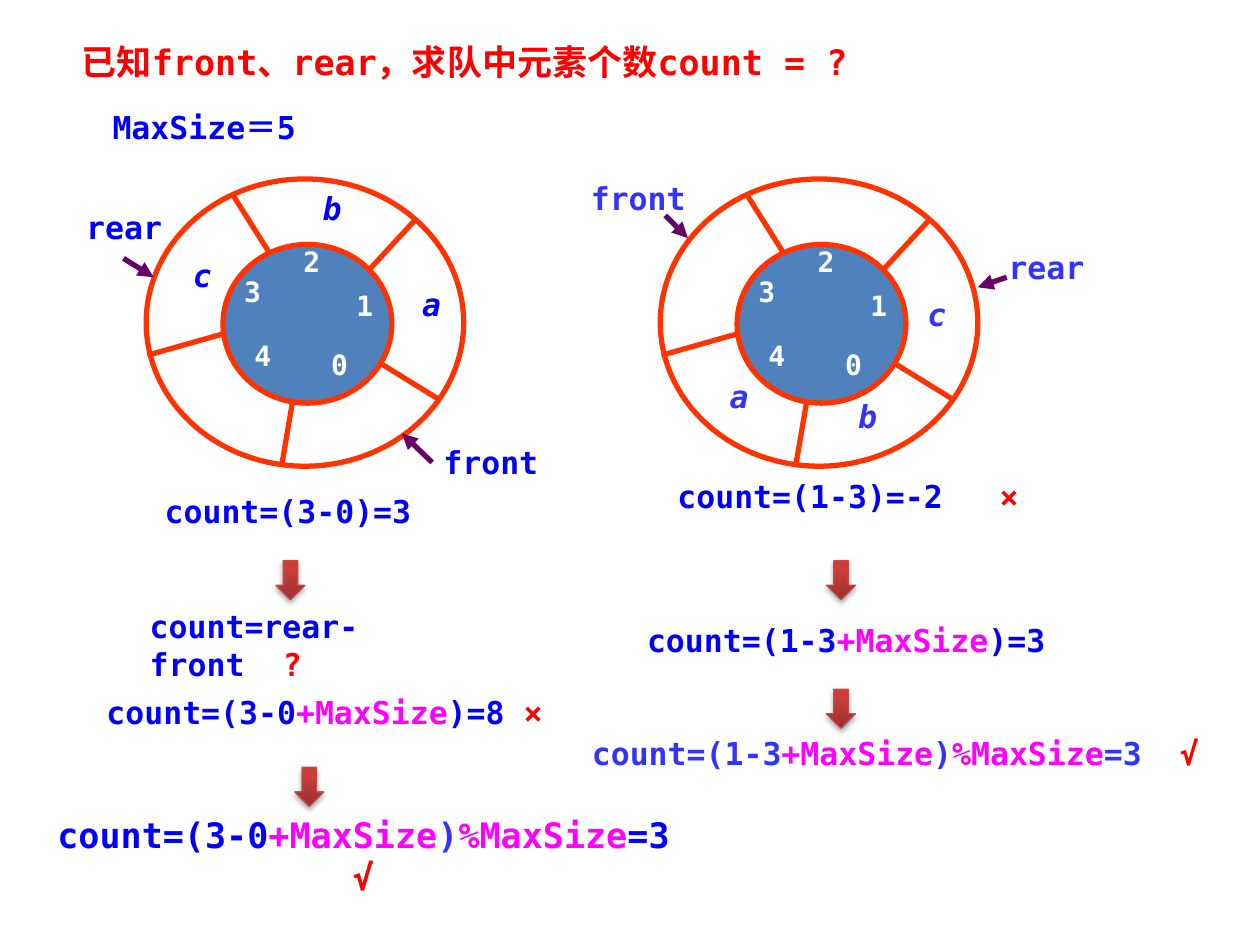
from typing import NamedTuple

from lxml.etree import SubElement
from pptx import Presentation
from pptx.dml.color import RGBColor
from pptx.enum.shapes import MSO_CONNECTOR, MSO_SHAPE
from pptx.enum.text import MSO_AUTO_SIZE, PP_ALIGN
from pptx.oxml.ns import qn
from pptx.util import Inches, Pt

COLORS = {
    "blue": "0000FF", "violet": "3333FF", "magenta": "FF00FF", "red": "FF0000",
    "white": "FFFFFF", "ring": "FF3300", "core": "4F81BD", "pointer": "660066",
    "arrow_dark": "9C2F2D", "arrow_light": "CB3E3A", "arrow_line": "BF4C48",
    "shadow": "000000",
}
FONT = "DejaVu Sans Mono"
COLUMNS, ROWS = 100, 75
CELL = Inches(10) / COLUMNS
RING_GAP = 40.8


class Piece(NamedTuple):
    text: str
    color: str = "blue"


class Formula(NamedTuple):
    """A box placed by left column, top row, width and height."""
    left: float
    top: float
    width: float
    height: float
    pieces: tuple
    size: int = 18
    align: PP_ALIGN = PP_ALIGN.CENTER


class Label(NamedTuple):
    text: str
    left: float
    top: float


class Segment(NamedTuple):
    x1: float
    y1: float
    x2: float
    y2: float


class Queue(NamedTuple):
    """A ring buffer with its contents and its two named pointers."""
    shift: float
    color: str
    elements: tuple
    names: tuple
    pointers: tuple


DIVIDERS = (
    Segment(30.3, 28.9, 35, 31.8), Segment(29.4, 21.3, 33, 17.4),
    Segment(18.5, 15.5, 21.4, 20.1), Segment(23.2, 32, 22.4, 36.7),
    Segment(11.7, 28.2, 17.7, 26.5),
)
INDICES = (
    Label("0", 25.4, 27.6), Label("1", 27.4, 22.9), Label("2", 23.2, 19.4),
    Label("3", 18.5, 21.8), Label("4", 19.3, 26.9),
)
QUEUES = (
    Queue(0, "blue",
          (Label("a", 32.7, 22.6), Label("b", 24.8, 15), Label("c", 14.5, 20.3)),
          (Label("front", 35, 35.2), Label("rear", 5.9, 16.5)),
          (Segment(34.3, 36.7, 31.9, 34.4), Segment(9.8, 20.5, 12.2, 22))),
    Queue(RING_GAP, "violet",
          (Label("a", 57.1, 29.9), Label("b", 67.3, 31.5), Label("c", 72.8, 23.4)),
          (Label("front", 46.7, 14.2), Label("rear", 79.1, 19.7)),
          (Segment(52.8, 17.1, 54.6, 18.9), Segment(79.9, 22, 77.6, 22.8))),
)
PLUS_SIZE = Piece("+MaxSize", "magenta")
MOD_SIZE = Piece("%MaxSize", "magenta")
FORMULAS = (
    Formula(5.5, 2.7, 69.5, 4.4,
            (Piece("已知front、rear，求队中元素个数count = ?", "red"),), 20, PP_ALIGN.LEFT),
    Formula(7, 8.1, 18.4, 4, (Piece("MaxSize＝5"),)),
    Formula(9.8, 38.6, 26.1, 4, (Piece("count=(3-0)=3"),)),
    Formula(10.9, 47.7, 20, 6.9, (Piece("count=rear-front"),), 18, PP_ALIGN.LEFT),
    Formula(7, 54.5, 37.5, 6.9,
            (Piece("count=(3-0"), PLUS_SIZE, Piece(")=8 "), Piece("×", "red"))),
    Formula(2.3, 64.1, 53.1, 7.5,
            (Piece("count=(3-0"), PLUS_SIZE, Piece(")", "violet"), MOD_SIZE,
             Piece("=3 "), Piece("√", "red")), 20),
    Formula(51.6, 37.4, 25.4, 4, (Piece("count=(1-3)=-2"),)),
    Formula(48.4, 48.8, 37.5, 4, (Piece("count=(1-3"), PLUS_SIZE, Piece(")=3"))),
    Formula(44.5, 57.8, 48.6, 4,
            (Piece("count=(1-3", "violet"), PLUS_SIZE, Piece(")", "violet"),
             MOD_SIZE, Piece("=3", "violet"))),
)
MARKS = (Label("?", 21.2, 50.7), Label("×", 78.1, 37.4), Label("√", 92.4, 57.8))
STEP_ARROWS = ((21.9, 44.5), (23.4, 60.9), (65.6, 44.5), (65.6, 54.7))


def cells(*values: float) -> list:
    return [round(value * CELL) for value in values]


def rgb(name: str) -> RGBColor:
    return RGBColor.from_string(COLORS[name])


def add_text(slide, formula: Formula, inset: bool = True, italic: bool = False) -> None:
    box = slide.shapes.add_textbox(*cells(*formula[:4]))
    frame = box.text_frame
    frame.word_wrap = True
    frame.auto_size = MSO_AUTO_SIZE.SHAPE_TO_FIT_TEXT
    if not inset:
        frame.margin_left = frame.margin_right = 0
        frame.margin_top = frame.margin_bottom = 0
    paragraph = frame.paragraphs[0]
    paragraph.alignment = formula.align
    for piece in formula.pieces:
        run = paragraph.add_run()
        run.text = piece.text
        run.font.name = FONT
        run.font.size = Pt(formula.size)
        run.font.bold = True
        run.font.italic = italic
        run.font.color.rgb = rgb(piece.color)


def add_label(slide, label: Label, color: str, width: float = 3.1,
              size: int = 18, italic: bool = False, shift: float = 0) -> None:
    """Write a short text in a box without margins."""
    formula = Formula(label.left + shift, label.top, width, size / 6,
                      (Piece(label.text, color),), size)
    add_text(slide, formula, inset=False, italic=italic)


def add_line(slide, segment: Segment, color: str, shift: float = 0,
             arrow: bool = False) -> None:
    x1, y1, x2, y2 = segment
    line = slide.shapes.add_connector(
        MSO_CONNECTOR.STRAIGHT, *cells(x1 + shift, y1, x2 + shift, y2))
    line.line.color.rgb = rgb(color)
    line.line.width = Pt(3)
    if arrow:
        SubElement(line.line._get_or_add_ln(), qn("a:tailEnd"), type="triangle")
    SubElement(line._element.spPr, qn("a:effectLst"))


def add_ellipse(slide, left: float, top: float, width: float, height: float,
                filled: bool) -> None:
    ellipse = slide.shapes.add_shape(MSO_SHAPE.OVAL, *cells(left, top, width, height))
    ellipse.shadow.inherit = False
    if filled:
        ellipse.fill.solid()
        ellipse.fill.fore_color.rgb = rgb("core")
    else:
        ellipse.fill.background()
    ellipse.line.color.rgb = rgb("ring")
    ellipse.line.width = Pt(3)


def add_queue(slide, queue: Queue) -> None:
    shift = queue.shift
    add_ellipse(slide, 17.7 + shift, 19.4, 13.4, 12.6, filled=True)
    add_ellipse(slide, 11.6 + shift, 14.2, 25.2, 22.8, filled=False)
    for divider in DIVIDERS:
        add_line(slide, divider, "ring", shift)
    for index in INDICES:
        add_label(slide, index, "white", size=16, shift=shift)
    for element in queue.elements:
        add_label(slide, element, queue.color, italic=True)
    for name in queue.names:
        add_label(slide, name, queue.color, width=7.9)
    for pointer in queue.pointers:
        add_line(slide, pointer, "pointer", arrow=True)


def add_step_arrow(slide, left: float, top: float) -> None:
    arrow = slide.shapes.add_shape(MSO_SHAPE.DOWN_ARROW, *cells(left, top, 2.3, 3.1))
    arrow.fill.gradient()
    arrow.fill.gradient_angle = 90
    stops = arrow.fill.gradient_stops
    for stop, color, position in zip(stops, ("arrow_dark", "arrow_light"), (0, 0.8)):
        stop.color.rgb = rgb(color)
        stop.position = position
    arrow.line.color.rgb = rgb("arrow_line")
    arrow.line.width = Pt(0.75)
    arrow.shadow.inherit = False
    effects = arrow._element.spPr.find(qn("a:effectLst"))
    shadow = SubElement(effects, qn("a:outerShdw"), blurRad=str(Pt(3.1)),
                        dist=str(Pt(1.8)), dir="5400000", rotWithShape="0")
    color = SubElement(shadow, qn("a:srgbClr"), val=COLORS["shadow"])
    SubElement(color, qn("a:alpha"), val="35000")


def main() -> None:
    presentation = Presentation()
    presentation.slide_width, presentation.slide_height = cells(COLUMNS, ROWS)
    slide = presentation.slides.add_slide(presentation.slide_layouts[6])
    for queue in QUEUES:
        add_queue(slide, queue)
    for left, top in STEP_ARROWS:
        add_step_arrow(slide, left, top)
    for formula in FORMULAS:
        add_text(slide, formula)
    for mark in MARKS:
        add_text(slide, Formula(mark.left, mark.top, 4, 4, (Piece(mark.text, "red"),)))
    presentation.save("out.pptx")


if __name__ == "__main__":
    main()
